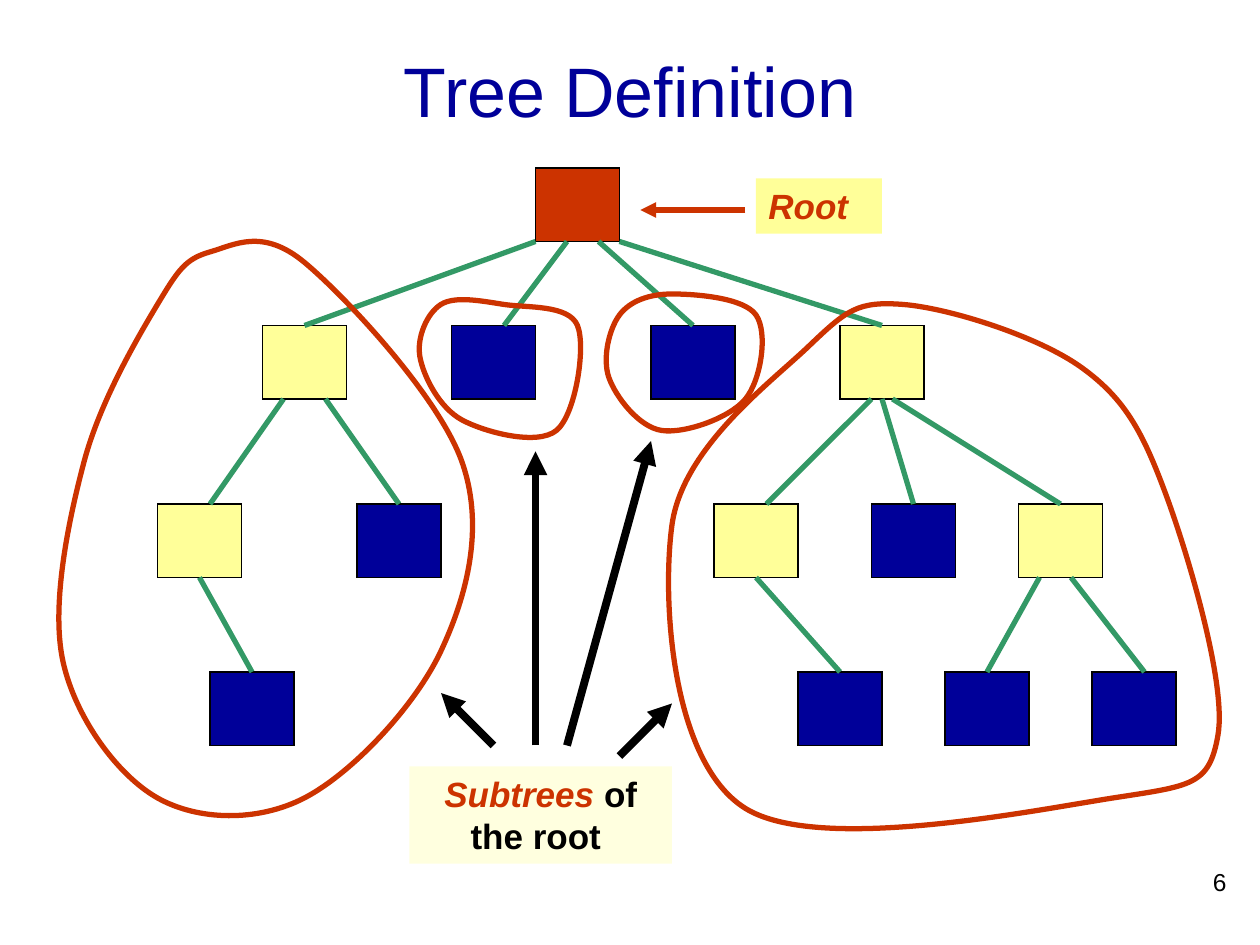
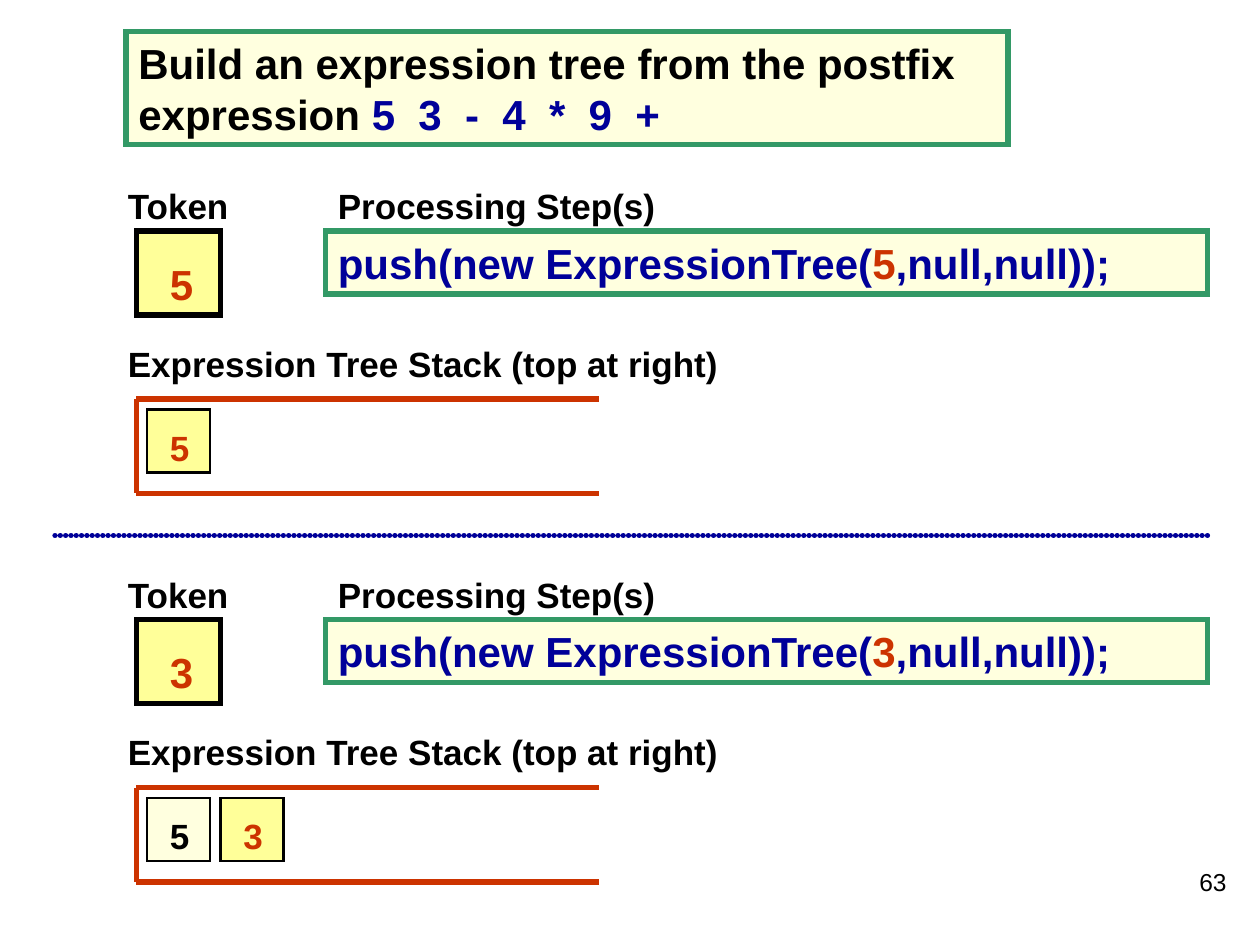
from pptx import Presentation
from pptx import util as u
from pptx.dml.color import RGBColor
from pptx.enum import shapes, text
from pptx.oxml.ns import qn
from lxml import etree

PX = 914400 / 96
FONT = "Arial"
HUES = {"navy": "000099", "red": "CC3300", "green": "339966",
        "yellow": "FFFF99", "cream": "FFFFDF", "black": "000000"}

# Tree content: name -> (left, level)
NODES = {"root": (408, 0), "A": (200, 1), "B": (344, 1), "C": (496, 1),
         "D": (640, 1), "E": (120, 2), "F": (272, 2), "G": (544, 2),
         "H": (664, 2), "I": (776, 2), "J": (160, 3), "K": (608, 3),
         "L": (720, 3), "M": (832, 3)}
LEVELS = [128, 248, 384, 512]
NODE_W, NODE_H = 64, 56
MID = NODE_W // 2
# parent, child, offset along parent's bottom, offset along child's top
EDGES = [("root", "A", 0, MID), ("root", "B", 24, 40),
         ("root", "C", 48, MID), ("root", "D", NODE_W, MID),
         ("A", "E", 16, 40), ("A", "F", 48, MID),
         ("D", "G", 24, 40), ("D", "H", MID, MID), ("D", "I", 40, MID),
         ("E", "J", MID, MID), ("G", "K", MID, MID),
         ("I", "L", 16, MID), ("I", "M", 40, 40)]
# Knots of the closed curves round the subtrees
LOOPS = [
    [(232, 200), (352, 352), (336, 496), (232, 608), (120, 608),
     (48, 504), (64, 352), (120, 232), (160, 192)],
    [(688, 232), (824, 280), (888, 376), (928, 560), (848, 608),
     (568, 616), (512, 400), (616, 264)],
    [(384, 232), (440, 248), (424, 328), (352, 320), (320, 272), (336, 232)],
    [(512, 224), (576, 240), (568, 304), (504, 328), (464, 288), (472, 240)],
]
ARROWS = [((432, 568), (496, 336)), ((408, 568), (408, 344)),
          ((376, 568), (336, 528)), ((472, 576), (512, 536))]

# Stack content: top, token, stack from bottom to top
STEPS = [(136, "5", ["5"]), (432, "3", ["5", "3"])]


def px(n):
    return u.Emu(round(n * PX))


def rgb(hue):
    return RGBColor.from_string(HUES[hue])


# Shared drawing helpers
def style(shape, fill=None, line=None, width=0.75):
    shape.shadow.inherit = False
    if fill:
        shape.fill.solid()
        shape.fill.fore_color.rgb = rgb(fill)
    else:
        shape.fill.background()
    if line:
        shape.line.color.rgb = rgb(line)
        shape.line.width = u.Pt(width)
        stroke = shape.element.spPr.find(qn("a:ln"))
        etree.SubElement(stroke, qn("a:miter"), lim="800000")
    else:
        shape.line.fill.background()
    return shape


def rect(slide, box, fill, line=None, width=0.75):
    shape = slide.shapes.add_shape(shapes.MSO_SHAPE.RECTANGLE, *map(px, box))
    return style(shape, fill, line, width)


def write(shape, runs, size, bold=True, align="LEFT", anchor="TOP"):
    """Runs are (words, hue) or (words, hue, italic)."""
    frame = shape.text_frame
    frame.word_wrap = True
    frame.vertical_anchor = getattr(text.MSO_ANCHOR, anchor)
    para = frame.paragraphs[0]
    para.alignment = getattr(text.PP_ALIGN, align)
    para.font.name, para.font.size, para.font.bold = FONT, u.Pt(size), bold
    for words, hue, *slant in runs:
        run = para.add_run()
        run.text = words
        run.font.color.rgb = rgb(hue)
        if slant:
            run.font.italic = slant[0]


def label(slide, box, words, size, hue="black", **look):
    write(slide.shapes.add_textbox(*map(px, box)), [(words, hue)], size, **look)


def link(slide, start, end, hue, width=3, arrow=False, dots=False):
    line = slide.shapes.add_connector(
        shapes.MSO_CONNECTOR.STRAIGHT, *map(px, start + end))
    line.line.color.rgb = rgb(hue)
    line.line.width = u.Pt(width)
    props = line.element.spPr
    stroke = props.find(qn("a:ln"))
    if dots:
        stroke.set("cap", "rnd")
        dash = etree.SubElement(stroke, qn("a:custDash"))
        etree.SubElement(dash, qn("a:ds"), d="100000", sp="1000")
    if arrow:
        etree.SubElement(stroke, qn("a:tailEnd"), type="triangle")
    etree.SubElement(props, qn("a:effectLst"))
    return line


def number(slide, page):
    label(slide, (744, 656, 200, 48), page, 14, bold=False, align="RIGHT")


def loop(slide, knots):
    """Closed smooth curve: handles follow the neighbouring knots."""
    dots = [knots[0]]
    for i in range(len(knots)):
        a, b, c, d = [knots[(i + k) % len(knots)] for k in (-1, 0, 1, 2)]
        dots += [tuple(q + (r - p) / 6 for p, q, r in zip(a, b, c)),
                 tuple(r - (s - q) / 6 for q, r, s in zip(b, c, d)), c]
    dots = [tuple(map(px, dot)) for dot in dots]
    path = slide.shapes.build_freeform(*dots[0], scale=1.0)
    path.add_line_segments(dots[1:], close=True)
    shape = style(path.convert_to_shape(), None, "red", 3)

    # Merge each three segments into one Bezier curve
    legs = list(shape.element.iter(qn("a:lnTo")))
    for i in range(0, len(legs), 3):
        curve = etree.Element(qn("a:cubicBezTo"))
        legs[i].addprevious(curve)
        for leg in legs[i:i + 3]:
            curve.append(leg[0])
            leg.getparent().remove(leg)


# Slide with the tree
def tree(slide):
    label(slide, (72, 32, 816, 72), "Tree Definition", 40, "navy",
          bold=False, align="CENTER", anchor="MIDDLE")
    inner = {edge[0] for edge in EDGES}
    boxes = {}
    for name, (left, level) in NODES.items():
        hue = ("red" if name == "root" else
               "yellow" if name in inner else "navy")
        boxes[name] = rect(slide, (left, LEVELS[level], NODE_W, NODE_H),
                           hue, "black")
    for top, low, out, into in EDGES:
        (x1, row1), (x2, row2) = NODES[top], NODES[low]
        line = link(slide, (x1 + out, LEVELS[row1] + NODE_H),
                    (x2 + into, LEVELS[row2]), "green")
        if out == MID:
            line.begin_connect(boxes[top], 2)
        if into == MID:
            line.end_connect(boxes[low], 0)
    for knots in LOOPS:
        loop(slide, knots)

    # Callouts
    write(rect(slide, (312, 584, 200, 74), "cream"),
          [("Subtrees", "red", True), (" of the root ", "black", False)],
          20, align="CENTER")
    for start, end in ARROWS:
        link(slide, start, end, "black", 4.5, arrow=True)
    write(rect(slide, (576, 136, 96, 42), "yellow"),
          [("Root", "red", True)], 20)
    link(slide, (568, 160), (488, 160), "red", arrow=True)
    number(slide, "6")


# One step: token, call and stack
def step(slide, top, token, stack):
    rect(slide, (104, top + 40, 64, 64), "yellow", "black", 3)
    label(slide, (88, top, 104, 42), "Token", 20)
    label(slide, (120, top + 56, 48, 48), token, 24, "red")
    write(rect(slide, (248, top + 40, 672, 48), "cream", "green", 3),
          [("push(new ExpressionTree(", "navy"), (token, "red"),
           (",null,null));", "navy")], 24)
    label(slide, (248, top, 296, 42), "Processing Step(s)", 20)
    label(slide, (88, top + 120, 664, 42),
          "Expression Tree Stack (top at right)", 20)
    for i, item in enumerate(stack):
        last = i == len(stack) - 1
        left = 112 + 56 * i
        rect(slide, (left, top + 176, 48, 48),
             "yellow" if last else "cream", "black", 1.5)
        label(slide, (left + 8, top + 184, 40, 42), item, 20,
              "red" if last else "black")
    high, low = top + 168, top + 240
    for y in (high, low):
        link(slide, (456, y), (104, y), "red")
    link(slide, (104, high), (104, low), "red")


# Slide with the stack steps
def postfix(slide):
    write(rect(slide, (96, 24, 672, 86), "cream", "green", 3),
          [("Build an expression tree from the postfix expression ", "black"),
           ("5  3  -  4  *  9  +", "navy")], 24)
    for row in STEPS:
        step(slide, *row)
    link(slide, (920, 408), (40, 408), "navy", dots=True)
    number(slide, "63")


def main():
    deck = Presentation()
    deck.slide_width, deck.slide_height = px(960), px(720)
    for draw in (tree, postfix):
        draw(deck.slides.add_slide(deck.slide_layouts[6]))
    deck.save("out.pptx")


if __name__ == "__main__":
    main()
